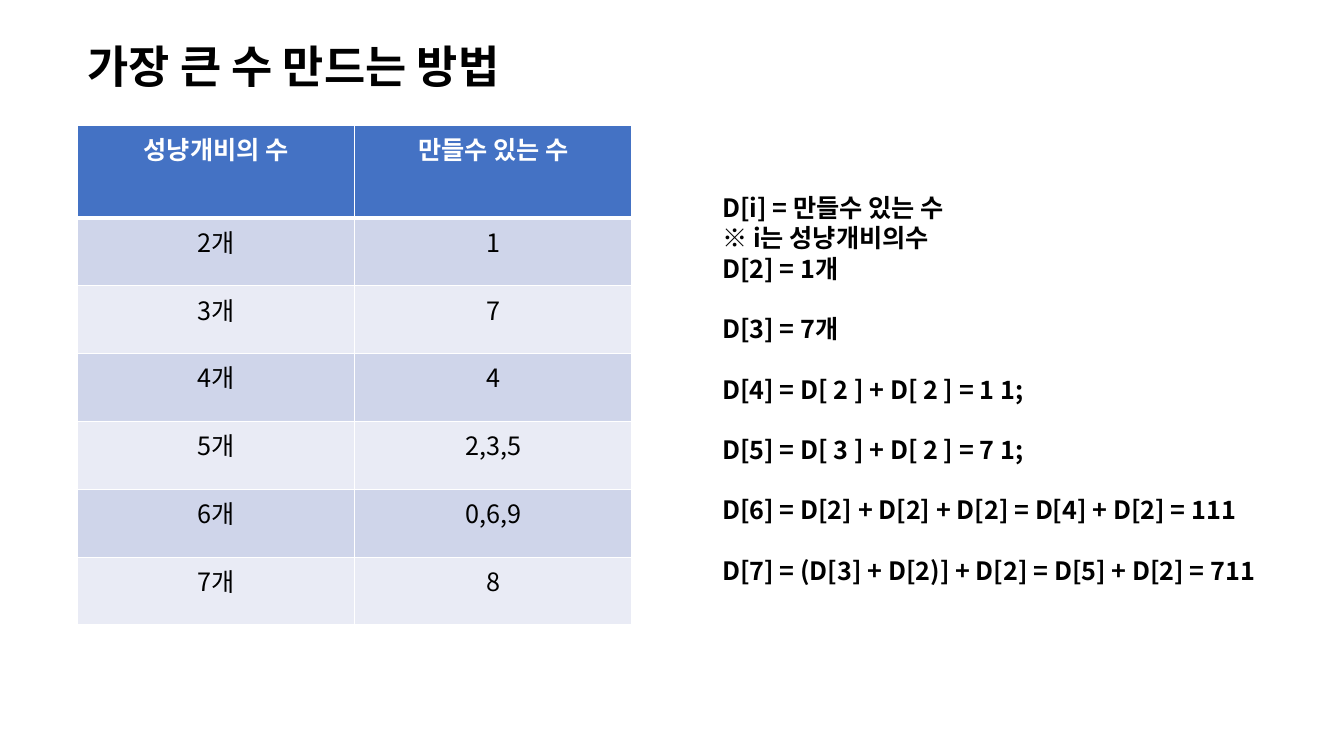
"""Build the slide on making the largest number from matchsticks."""
from lxml import etree
from pptx import Presentation
from pptx.dml.color import RGBColor
from pptx.enum.text import MSO_AUTO_SIZE, PP_ALIGN
from pptx.oxml.ns import qn
from pptx.util import Inches, Pt

CENTER = PP_ALIGN.CENTER
GROW = MSO_AUTO_SIZE.SHAPE_TO_FIT_TEXT
FONT = "Noto Sans CJK KR"

prs = Presentation()
prs.slide_width, prs.slide_height = Inches(13.33), Inches(7.5)
W, H = prs.slide_width / 100, prs.slide_height / 100
s = prs.slides.add_slide(prs.slide_layouts[6])


def rgb(color):
    """Turn a hex string into a colour."""
    return RGBColor.from_string(color)


def style(p, size, color, bold):
    """Set the font of a paragraph."""
    p.font.name, p.font.size, p.font.bold = FONT, Pt(size), bold
    p.font.color.rgb = rgb(color)


rows = [("성냥개비의 수", "만들수 있는 수"), ("2개", "1"), ("3개", "7"),
        ("4개", "4"), ("5개", "2,3,5"), ("6개", "0,6,9"), ("7개", "8")]
left, header_height, row_height = 5.77 * W, 12.27 * H, 8.98 * H
table = s.shapes.add_table(
    len(rows), 2, int(left), int(16.55 * H), int(41.25 * W),
    int(header_height + 6 * row_height)).table
for i, texts in enumerate(rows):
    header = i == 0
    table.rows[i].height = int(header_height if header else row_height)
    fill = "4472C4" if header else ("E9EBF5", "CFD5EA")[i % 2]
    widths = {"L": 1, "R": 1, "T": 3 if i == 1 else 1, "B": 3 if header else 1}
    for j, text in enumerate(texts):
        cell = table.cell(i, j)
        cell.fill.solid()
        cell.fill.fore_color.rgb = rgb(fill)
        p = cell.text_frame.paragraphs[0]
        p.text, p.alignment = text, CENTER
        style(p, 18, "FFFFFF" if header else "000000", header)
        tcPr = cell._tc.get_or_add_tcPr()
        for k, (side, width) in enumerate(widths.items()):
            ln = etree.Element(qn("a:ln" + side), w=str(Pt(width)))
            line_fill = etree.SubElement(ln, qn("a:solidFill"))
            etree.SubElement(line_fill, qn("a:srgbClr"), val="FFFFFF")
            tcPr.insert(k, ln)

title = ["가장 큰 수 만드는 방법"]
formulas = ["D[i] = 만들수 있는 수", "※ i는 성냥개비의수", "D[2] = 1개",
            "D[3] = 7개", "D[4] = D[ 2 ] + D[ 2 ] = 1 1;",
            "D[5] = D[ 3 ] + D[ 2 ] = 7 1;",
            "D[6] = D[2] + D[2] + D[2] = D[4] + D[2] = 111",
            "D[7] = (D[3] + D[2)] + D[2] = D[5] + D[2] = 711"]
boxes = [(formulas, 53 * W, 24.8 * H, 45.4 * W, 57.9 * H, 18),
         (title, left, 4.4 * H, 44.1 * W, 8.5 * H, 32)]
for lines, x, y, width, height, size in boxes:
    tf = s.shapes.add_textbox(int(x), int(y), int(width), int(height)).text_frame
    tf.word_wrap, tf.auto_size = True, GROW
    tf.text = "\n".join(lines)
    for i, p in enumerate(tf.paragraphs):
        p.space_before = Pt(21.6 if i > 2 else 0)
        style(p, size, "000000", True)

prs.save("out.pptx")
